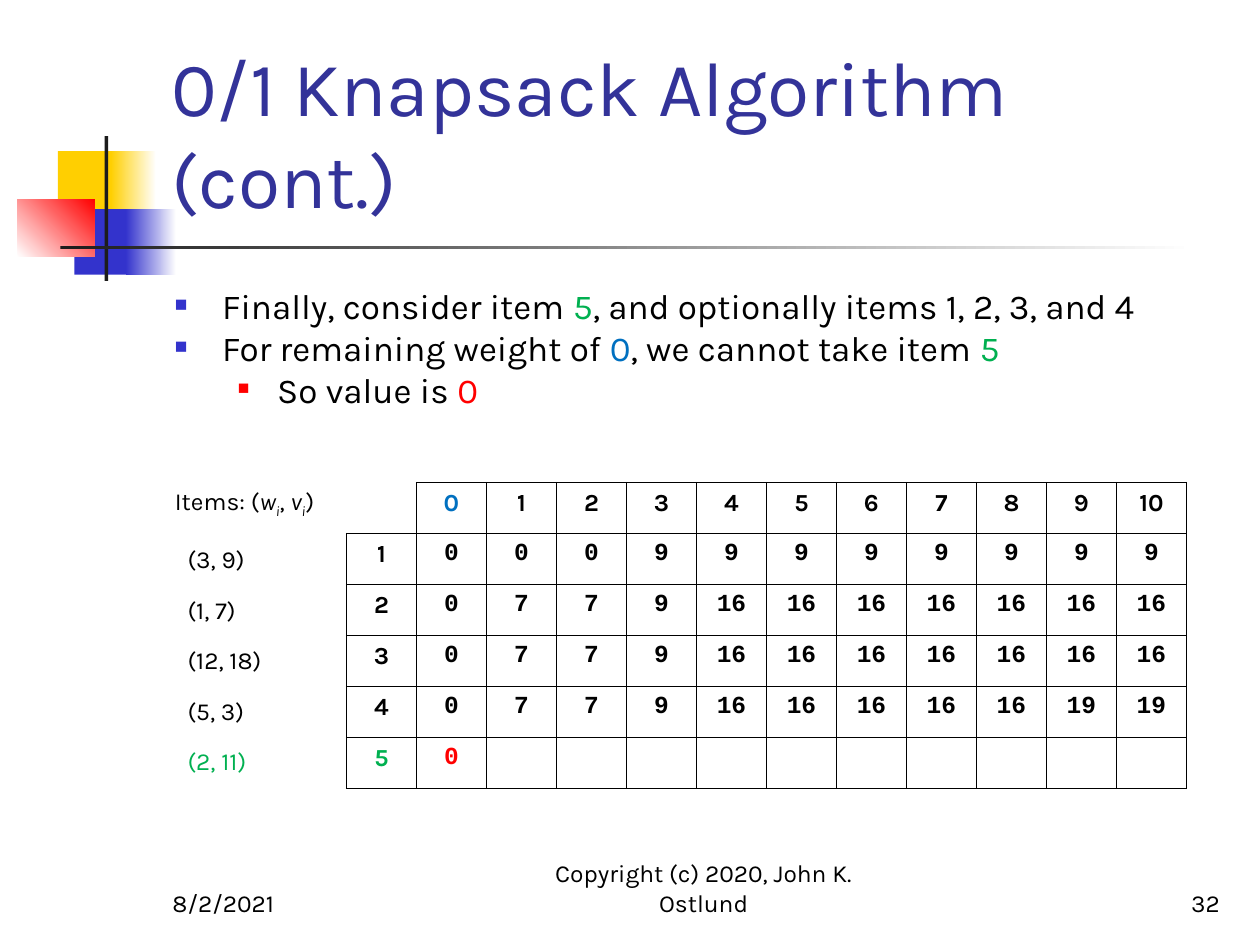
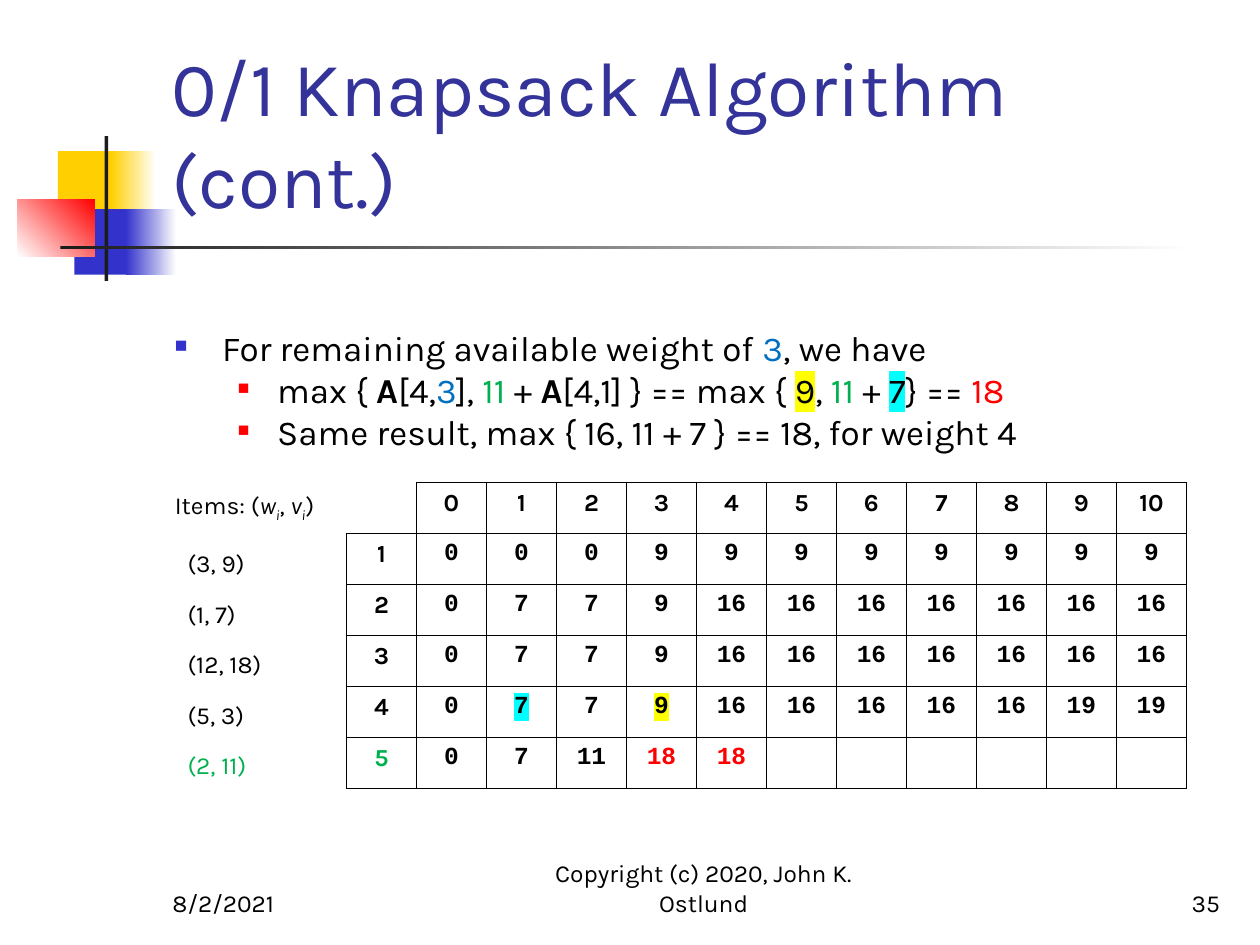
import lxml.etree
import pptx
import pptx.dml.color
import pptx.enum.shapes
import pptx.enum.text
import pptx.oxml.ns
import pptx.util

COLORS = {
    "white": "FFFFFF", "black": "000000", "ink": "1C1C1C", "title": "333399",
    "gold": "FFCF01", "indigo": "3333CC", "red": "FF0000", "green": "00B050",
    "blue": "0070C0", "yellow": "FFFF00", "cyan": "00FFFF",
}
SANS, MONO = "Karla", "Courier New"
GRID_COLUMNS, GRID_ROWS = 100, 75
CELL = pptx.util.Inches(0.1)
ALIGN = pptx.enum.text.PP_ALIGN
ANCHOR = pptx.enum.text.MSO_ANCHOR

GREEN, BLUE, RED = {"color": "green"}, {"color": "blue"}, {"color": "red"}
BOLD, ITALIC = {"bold": True}, {"italic": True}
SUBSCRIPT = {"italic": True, "baseline": -25}
YELLOW_MARK, CYAN_MARK = {"highlight": "yellow"}, {"highlight": "cyan"}

BULLETS = [
    {"color": "indigo", "percent": 60, "indent": 3.75, "hang": 3.75},
    {"color": "red", "percent": 55, "indent": 8.12, "hang": 3.12},
]
DECORATIONS = [
    ((4.6, 12, 4.8, 5.2), ["gold"], 0),
    ((8.8, 12, 3.6, 5.2), ["gold", "white"], 0),
    ((5.9, 16.6, 4.6, 5.2), ["indigo"], 0),
    ((10, 16.6, 4, 5.2), ["indigo", "white"], 0),
    ((1.4, 15.8, 6.1, 4.6), ["white", "red"], 45),
    ((8.3, 10.8, 0.3, 11.5), ["ink"], 0),
    ((4.8, 19.5, 90, 0.3), ["ink", "white"], 0),
]
ITEMS_HEADING = ["Items: (", ("w", ITALIC), ("i", SUBSCRIPT), ", ",
                 ("v", ITALIC), ("i", SUBSCRIPT), ")"]
ITEMS = ["(3, 9)", "(1, 7)", "(12, 18)", "(5, 3)", ("(2, 11)", GREEN)]
BEST_VALUES = [
    [0] * 3 + [9] * 8,
    [0, 7, 7, 9] + [16] * 7,
    [0, 7, 7, 9] + [16] * 7,
    [0, 7, 7, 9] + [16] * 5 + [19] * 2,
]
SLIDES = [
    {
        "number": 32, "body_top": 22.1, "items_gap": 43,
        "bullets": [
            (0, ["Finally, consider item ", ("5", GREEN),
                 ", and optionally items 1, 2, 3, and 4"]),
            (0, ["For remaining weight of ", ("0", BLUE),
                 ", we cannot take item ", ("5", GREEN)]),
            (1, ["So value is ", ("0", RED)]),
        ],
        "last_row": [0],
        "marks": {(0, 1): BLUE, (5, 0): GREEN, (5, 1): RED},
    },
    {
        "number": 35, "body_top": 25.4, "items_gap": 21.5,
        "bullets": [
            (0, ["For remaining available weight of ", ("3", BLUE), ", we have"]),
            (1, ["max { ", ("A", BOLD), "[4,", ("3", BLUE), "], ", ("11", GREEN),
                 " + ", ("A", BOLD), "[4,1] } == max { ", ("9", YELLOW_MARK), ", ",
                 ("11", GREEN), " + ", ("7", CYAN_MARK), "} == ", ("18", RED)]),
            (1, ["Same result, max { 16, 11 + 7 } == 18, for weight 4"]),
        ],
        "last_row": [0, 7, 11, 18, 18],
        "marks": {(4, 2): CYAN_MARK, (4, 4): YELLOW_MARK, (5, 0): GREEN,
                  (5, 4): RED, (5, 5): RED},
    },
]


def grid(*lengths):
    """Turn lengths in grid cells into slide lengths."""
    return [round(length * CELL) for length in lengths]


def rgb(name):
    """Look up a named colour."""
    return pptx.dml.color.RGBColor.from_string(COLORS[name])


def add_xml(parent, tag, **attributes):
    """Append a drawing element to a parent and return it."""
    element = lxml.etree.SubElement(parent, pptx.oxml.ns.qn(tag))
    for name, value in attributes.items():
        element.set(name, str(value))
    return element


def add_text(paragraph, text, size=14, font=SANS, color="black", bold=False,
             italic=False, baseline=0, highlight=None):
    """Add one formatted run to a paragraph."""
    run = paragraph.add_run()
    run.text = str(text)
    run.font.size = pptx.util.Pt(size)
    run.font.bold = bold
    run.font.italic = italic
    run.font.color.rgb = rgb(color)
    properties = run._r.get_or_add_rPr()
    if highlight:
        add_xml(add_xml(properties, "a:highlight"), "a:srgbClr", val=COLORS[highlight])
    if baseline:
        properties.set("baseline", str(baseline * 1000))
    run.font.name = font


def add_runs(paragraph, runs, **defaults):
    """Add plain strings and (text, format) pairs to a paragraph."""
    for run in runs:
        text, changes = run if isinstance(run, tuple) else (run, {})
        add_text(paragraph, text, **{**defaults, **changes})


def add_box(slide, place, anchor=ANCHOR.TOP):
    """Add a wrapping text box and return its text frame."""
    frame = slide.shapes.add_textbox(*grid(*place)).text_frame
    frame.word_wrap = True
    frame.vertical_anchor = anchor
    return frame


def next_paragraph(frame):
    """Return the unused first paragraph of a frame, or a new one."""
    first = frame.paragraphs[0]
    return frame.add_paragraph() if first.runs else first


def set_bullet(paragraph, level):
    """Give a paragraph the square bullet and indent of its level."""
    style = BULLETS[level]
    paragraph.level = level
    properties = paragraph._p.get_or_add_pPr()
    indent, hang = grid(style["indent"], style["hang"])
    properties.set("marL", str(indent))
    properties.set("indent", str(-hang))
    add_xml(add_xml(properties, "a:buClr"), "a:srgbClr", val=COLORS[style["color"]])
    add_xml(properties, "a:buSzPct", val=style["percent"] * 1000)
    add_xml(properties, "a:buFont", typeface=MONO)
    add_xml(properties, "a:buChar", char="■")


def add_decoration(slide, place, colors, angle):
    """Draw one plain or fading rectangle of the shared design."""
    shape = slide.shapes.add_shape(
        pptx.enum.shapes.MSO_SHAPE.RECTANGLE, *grid(*place))
    shape.shadow.inherit = False
    shape.line.fill.background()
    if len(colors) == 1:
        shape.fill.solid()
        shape.fill.fore_color.rgb = rgb(colors[0])
        return
    shape.fill.gradient()
    shape.fill.gradient_angle = angle
    for stop, color in zip(shape.fill.gradient_stops, colors):
        stop.color.rgb = rgb(color)


def add_title(slide, text):
    """Place and format the title above the decorations."""
    title = slide.shapes.title
    title.left, title.top, title.width, title.height = grid(12.6, 2.3, 85.2, 16)
    frame = title.text_frame
    frame.word_wrap = True
    frame.auto_size = pptx.enum.text.MSO_AUTO_SIZE.NONE
    frame.vertical_anchor = ANCHOR.BOTTOM
    frame.paragraphs[0].alignment = ALIGN.LEFT
    add_text(frame.paragraphs[0], text, size=44, color="title")
    title.element.getparent().append(title.element)


def add_footer(slide, left, width, text, alignment):
    """Add one bottom-aligned footer text."""
    paragraph = add_box(slide, (left, 68.3, width, 5), ANCHOR.BOTTOM).paragraphs[0]
    paragraph.alignment = alignment
    add_text(paragraph, text)


def add_body(slide, content):
    """Add the bullets and, below them, the list of items."""
    top = content["body_top"]
    frame = add_box(slide, (12.9, top, 85, 67.1 - top))
    for level, runs in content["bullets"]:
        paragraph = next_paragraph(frame)
        set_bullet(paragraph, level)
        add_runs(paragraph, runs, size=20)
    heading = next_paragraph(frame)
    heading.space_before = pptx.util.Pt(content["items_gap"])
    add_runs(heading, ITEMS_HEADING)
    for index, item in enumerate(ITEMS):
        paragraph = next_paragraph(frame)
        paragraph.space_before = pptx.util.Pt(12 if index else 14.3)
        paragraph._p.get_or_add_pPr().set("marL", str(grid(1)[0]))
        add_runs(paragraph, [item])


def set_borders(cell, visible):
    """Draw the visible sides of a cell and clear the others."""
    properties = cell._tc.get_or_add_tcPr()
    for position, side in enumerate("LRTB"):
        line = add_xml(properties, f"a:ln{side}", w=pptx.util.Pt(1))
        if side in visible:
            add_xml(add_xml(line, "a:solidFill"), "a:srgbClr", val=COLORS["black"])
        else:
            add_xml(line, "a:noFill")
        properties.insert(position, line)


def add_value_table(slide, last_row, marks):
    """Add the table of best values by item and weight."""
    rows = [[""] + list(range(11))]
    for item, values in enumerate(BEST_VALUES + [last_row], 1):
        rows.append([item] + values + [""] * (11 - len(values)))
    table = slide.shapes.add_table(
        len(rows), len(rows[0]), *grid(27.5, 38.3, 66.7, 24.3)).table
    table.first_row = table.horz_banding = False
    for row, values in enumerate(rows):
        for column, value in enumerate(values):
            cell = table.cell(row, column)
            cell.fill.background()
            set_borders(cell, "LRTB" if row or column else "RB")
            paragraph = cell.text_frame.paragraphs[0]
            paragraph.alignment = ALIGN.CENTER
            if value == "":
                add_xml(paragraph._p, "a:endParaRPr", sz=1400)
                continue
            font = MONO if row and column else SANS
            add_runs(paragraph, [(value, marks.get((row, column), {}))],
                     font=font, bold=True)


def add_slide(presentation, content):
    """Build one slide of the algorithm walk-through."""
    slide = presentation.slides.add_slide(presentation.slide_layouts[5])
    for decoration in DECORATIONS:
        add_decoration(slide, *decoration)
    add_title(slide, "0/1 Knapsack Algorithm (cont.)")
    add_body(slide, content)
    add_footer(slide, 12.7, 20.8, "8/2/2021", ALIGN.LEFT)
    add_footer(slide, 40, 31.7, "Copyright (c) 2020, John K. Ostlund", ALIGN.CENTER)
    add_value_table(slide, content["last_row"], content["marks"])
    add_footer(slide, 77, 20.8, content["number"], ALIGN.RIGHT)


def main():
    """Build and save the presentation."""
    presentation = pptx.Presentation()
    presentation.slide_width, presentation.slide_height = grid(GRID_COLUMNS, GRID_ROWS)
    for content in SLIDES:
        add_slide(presentation, content)
    presentation.save("out.pptx")


if __name__ == "__main__":
    main()
